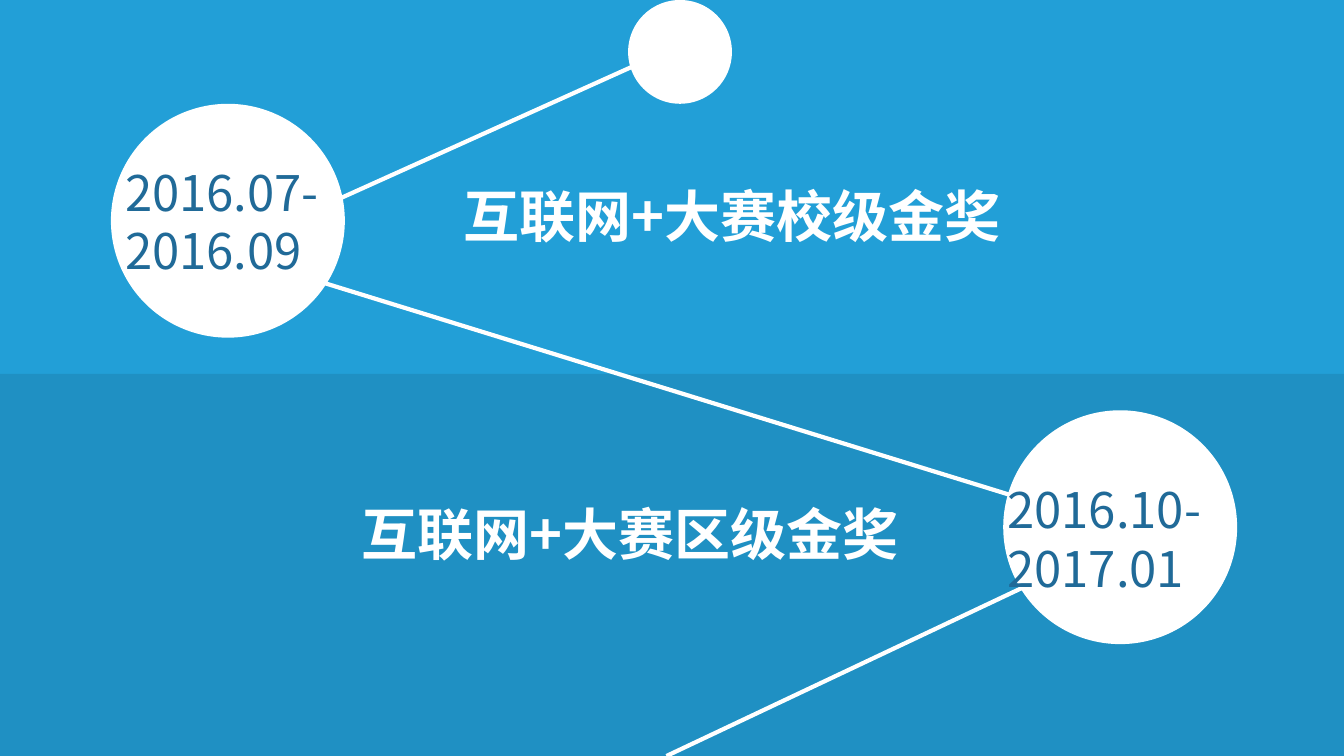
from dataclasses import dataclass

from lxml import etree
from pptx import Presentation
from pptx.dml.color import RGBColor
from pptx.enum.shapes import MSO_CONNECTOR, MSO_SHAPE
from pptx.enum.text import MSO_ANCHOR, MSO_AUTO_SIZE, PP_ALIGN
from pptx.oxml.ns import qn
from pptx.shapes.autoshape import Shape
from pptx.slide import Slide
from pptx.util import Inches, Pt

RECTANGLE = MSO_SHAPE.RECTANGLE
OVAL = MSO_SHAPE.OVAL
STRAIGHT = MSO_CONNECTOR.STRAIGHT
TOP = MSO_ANCHOR.TOP
LEFT = PP_ALIGN.LEFT
GROW = MSO_AUTO_SIZE.SHAPE_TO_FIT_TEXT
TITLE_ONLY = 5
PAGE_WIDTH, PAGE_HEIGHT = 13.33, 7.5
BAND_SPLIT = 3.71
MILESTONE_SIZE = 2.32


@dataclass(frozen=True)
class Theme:
    font: str = "Noto Sans CJK SC"
    upper: RGBColor = RGBColor(0x22, 0x9F, 0xD7)
    lower: RGBColor = RGBColor(0x1F, 0x90, 0xC3)
    white: RGBColor = RGBColor(0xFF, 0xFF, 0xFF)
    date: RGBColor = RGBColor(0x20, 0x6A, 0x98)
    date_size: int = 35
    award_size: int = 40
    line_height: float = 1.2
    path_width: int = 3
    inset: float = 0.05


@dataclass(frozen=True)
class Area:
    left: float
    top: float
    width: float
    height: float


@dataclass(frozen=True)
class Figure:
    kind: MSO_SHAPE
    area: Area
    color: RGBColor


@dataclass(frozen=True)
class Segment:
    start: tuple[float, float]
    end: tuple[float, float]


@dataclass(frozen=True)
class Label:
    text: str
    area: Area
    size: int
    color: RGBColor
    bold: bool = False
    is_title: bool = False


THEME = Theme()

FIGURES = [
    Figure(RECTANGLE, Area(0, 0, PAGE_WIDTH, BAND_SPLIT), THEME.upper),
    Figure(RECTANGLE, Area(0, BAND_SPLIT, PAGE_WIDTH, PAGE_HEIGHT - BAND_SPLIT), THEME.lower),
    Figure(OVAL, Area(6.23, 0, 1.03, 1.03), THEME.white),
    Figure(OVAL, Area(1.1, 1.03, MILESTONE_SIZE, MILESTONE_SIZE), THEME.white),
    Figure(OVAL, Area(9.95, 4.07, MILESTONE_SIZE, MILESTONE_SIZE), THEME.white),
]

SEGMENTS = [
    Segment((6.43, 0.59), (3.17, 2.06)),
    Segment((3.03, 2.75), (10.31, 5)),
    Segment((10.46, 5.68), (6.61, 7.5)),
]

LABELS = [
    Label("2016.07-2016.09", Area(1.19, 1.56, 2.34, 1.27), THEME.date_size, THEME.date),
    Label("互联网+大赛校级金奖", Area(4.55, 1.75, 6.01, 0.88), THEME.award_size, THEME.white,
          bold=True, is_title=True),
    Label("2016.10-2017.01", Area(9.94, 4.71, 2.61, 1.27), THEME.date_size, THEME.date),
    Label("互联网+大赛区级金奖", Area(3.54, 4.91, 5.73, 0.88), THEME.award_size, THEME.white,
          bold=True),
]


def place(box: Shape, area: Area) -> None:
    box.left, box.top = Inches(area.left), Inches(area.top)
    box.width, box.height = Inches(area.width), Inches(area.height)


def draw_figure(page: Slide, figure: Figure) -> None:
    shape = page.shapes.add_shape(figure.kind, 0, 0, 0, 0)
    place(shape, figure.area)
    shape.shadow.inherit = False
    shape.fill.solid()
    shape.fill.fore_color.rgb = figure.color
    shape.line.fill.background()


def draw_segment(page: Slide, segment: Segment) -> None:
    start_x, start_y = map(Inches, segment.start)
    end_x, end_y = map(Inches, segment.end)
    connector = page.shapes.add_connector(STRAIGHT, start_x, start_y, end_x, end_y)
    connector.line.color.rgb = THEME.white
    connector.line.width = Pt(THEME.path_width)
    etree.SubElement(connector._element.spPr, qn("a:effectLst"))


def draw_label(page: Slide, label: Label) -> None:
    if label.is_title:
        box = page.shapes.title
        page.shapes._spTree.append(box._element)
    else:
        box = page.shapes.add_textbox(0, 0, 0, 0)
    place(box, label.area)
    frame = box.text_frame
    frame.word_wrap = True
    frame.auto_size = GROW
    frame.vertical_anchor = TOP
    frame.margin_left = frame.margin_right = Inches(THEME.inset)
    frame.margin_top = frame.margin_bottom = Inches(THEME.inset)
    para = frame.paragraphs[0]
    para.alignment = LEFT
    para.line_spacing = Pt(label.size * THEME.line_height)
    span = para.add_run()
    span.text = label.text
    span.font.name = THEME.font
    span.font.size = Pt(label.size)
    span.font.bold = label.bold
    span.font.color.rgb = label.color
    etree.SubElement(span.font._element, qn("a:ea"), typeface=THEME.font)


def main() -> None:
    deck = Presentation()
    deck.slide_width = Inches(PAGE_WIDTH)
    deck.slide_height = Inches(PAGE_HEIGHT)
    page = deck.slides.add_slide(deck.slide_layouts[TITLE_ONLY])
    for figure in FIGURES:
        draw_figure(page, figure)
    for segment in SEGMENTS:
        draw_segment(page, segment)
    for label in LABELS:
        draw_label(page, label)
    deck.save("out.pptx")


if __name__ == "__main__":
    main()
